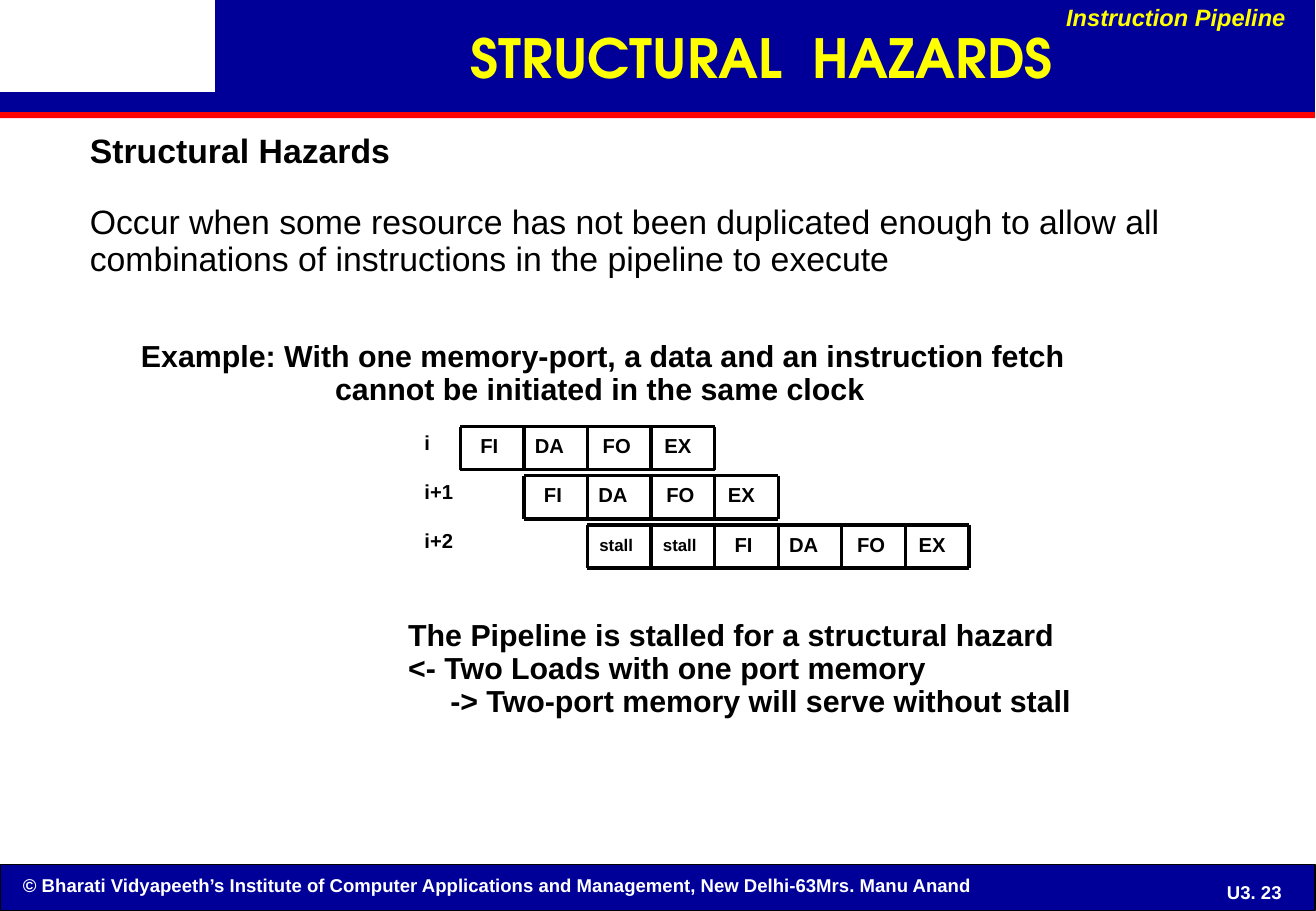
from lxml.etree import SubElement
from pptx import Presentation
from pptx.dml.color import RGBColor
from pptx.enum.shapes import MSO_CONNECTOR, MSO_SHAPE
from pptx.enum.text import MSO_ANCHOR, PP_ALIGN
from pptx.oxml.ns import qn
from pptx.util import Cm, Pt

COLORS = {"navy": "000099", "red": "FF0000", "yellow": "FFFF00",
          "white": "FFFFFF", "black": "000000"}

# Pipeline diagram, in centimetres
GRID_LEFT, GRID_TOP = 9.63, 8.92
CLOCK, ROW_PITCH, ROW_HEIGHT = 1.33, 1.03, 0.9
LABEL_LEFT = 8.88
STAGE_INSETS = {"FI": 0.42, "DA": 0.23, "FO": 0.32, "EX": 0.28, "stall": 0.25}
INSTRUCTIONS = [
    ("i", ["FI", "DA", "FO", "EX"]),
    ("i+1", ["FI", "DA", "FO", "EX"]),
    ("i+2", ["stall", "stall", "FI", "DA", "FO", "EX"]),
]


class HazardSlide:
    font_name = "Arial"
    line_spacing = 0.9

    def __init__(self, page):
        self.page = page

    def color(self, name):
        return RGBColor.from_string(COLORS[name])

    def bar(self, left, top, width, height, fill, outline=None):
        shape = self.page.shapes.add_shape(
            MSO_SHAPE.RECTANGLE, Cm(left), Cm(top), Cm(width), Cm(height))
        shape.shadow.inherit = False
        shape.fill.solid()
        shape.fill.fore_color.rgb = self.color(fill)
        if outline:
            shape.line.color.rgb = self.color(outline)
            shape.line.width = Pt(0.75)
        else:
            shape.line.fill.background()

    def line(self, x1, y1, x2, y2):
        connector = self.page.shapes.add_connector(
            MSO_CONNECTOR.STRAIGHT, Cm(x1), Cm(y1), Cm(x2), Cm(y2))
        connector.line.color.rgb = self.color("black")
        connector.line.width = Pt(2)
        SubElement(connector._element.spPr, qn("a:effectLst"))

    def text(self, left, top, width, height, lines, size, color="black",
             bold=True, italic=False, font=None, align=PP_ALIGN.LEFT,
             anchor=MSO_ANCHOR.TOP, inset=(0.18, 0.08), spacing=None):
        """Add a text box and return its paragraphs, one for each line."""
        box = self.page.shapes.add_textbox(
            Cm(left), Cm(top), Cm(width), Cm(height))
        frame = box.text_frame
        frame.word_wrap = True
        frame.vertical_anchor = anchor
        frame.margin_left = frame.margin_right = Cm(inset[0])
        frame.margin_top = frame.margin_bottom = Cm(inset[1])
        frame.text = "\n".join(lines)
        for para in frame.paragraphs:
            para.alignment = align
            para.line_spacing = spacing or self.line_spacing
            para.font.name = font or self.font_name
            para.font.size = Pt(size)
            para.font.bold = bold
            para.font.italic = italic
            para.font.color.rgb = self.color(color)
        return frame.paragraphs

    def indent(self, para, length):
        properties = para._p.get_or_add_pPr()
        properties.set("marL", str(Cm(length)))
        properties.set("indent", "0")

    def instruction(self, row, label, stages):
        """Draw one instruction, starting one clock later for each row."""
        top = GRID_TOP + row * ROW_PITCH
        left = GRID_LEFT + row * CLOCK
        right = left + len(stages) * CLOCK
        self.text(LABEL_LEFT, top + 0.13, 1, 0.46, [label], 12, inset=(0, 0))
        for y in (top, top + ROW_HEIGHT):
            self.line(left, y, right, y)
        for clock in range(len(stages) + 1):
            x = left + clock * CLOCK
            self.line(x, top, x, top + ROW_HEIGHT)
        for clock, stage in enumerate(stages):
            size, drop = (10, 0.24) if stage == "stall" else (12, 0.2)
            self.text(left + clock * CLOCK + STAGE_INSETS[stage], top + drop,
                      0.9, 0.46, [stage], size, inset=(0, 0))


def main():
    deck = Presentation()
    deck.slide_width, deck.slide_height = Cm(27.53), Cm(19.05)
    slide = HazardSlide(deck.slides.add_slide(deck.slide_layouts[6]))

    slide.bar(0, 18.08, 27.51, 0.96, "navy", outline="black")
    slide.text(0.23, 18.14, 25.27, 0.74,
               ["© Bharati Vidyapeeth’s Institute of Computer Applications "
                "and Management, New Delhi-63Mrs. Manu Anand"],
               11, "white", inset=(0.25, 0.13), spacing=1.0)
    slide.text(25.02, 18.26, 2.44, 0.79, ["U3. 23"], 11, "white",
               align=PP_ALIGN.CENTER, anchor=MSO_ANCHOR.MIDDLE,
               inset=(0.25, 0.13), spacing=1.0)
    slide.bar(0, 2.34, 27.51, 0.13, "red")
    slide.bar(4.5, 0, 23.01, 1.93, "navy")
    slide.bar(0, 1.93, 27.51, 0.41, "navy")

    slide.text(4.45, 0.05, 22.99, 2.29, ["STRUCTURAL  HAZARDS"], 32, "yellow",
               font="TeX Gyre Adventor", align=PP_ALIGN.CENTER,
               anchor=MSO_ANCHOR.MIDDLE, spacing=1.0)
    slide.text(20.05, 0, 7.1, 0.79, ["Instruction Pipeline"], 14, "yellow",
               italic=True, align=PP_ALIGN.RIGHT, inset=(0.25, 0.13))

    heading, definition = slide.text(
        1.7, 2.72, 23.7, 3.2,
        ["Structural Hazards",
         "Occur when some resource has not been duplicated enough to allow "
         "all combinations of instructions in the pipeline to execute"], 20)
    definition.space_before = Pt(21)
    definition.font.bold = False

    example, example_end = slide.text(
        2.77, 7.06, 21, 1.6,
        ["Example: With one memory-port, a data and an instruction fetch",
         "cannot be initiated in the same clock"], 18)
    slide.indent(example_end, 4.06)

    for row, (label, stages) in enumerate(INSTRUCTIONS):
        slide.instruction(row, label, stages)

    stalled, cause, remedy = slide.text(
        8.36, 12.9, 16, 2.21,
        ["The Pipeline is stalled for a structural hazard",
         "<- Two Loads with one port memory",
         "-> Two-port memory will serve without stall"], 18)
    slide.indent(remedy, 0.88)

    deck.save("out.pptx")


if __name__ == "__main__":
    main()
